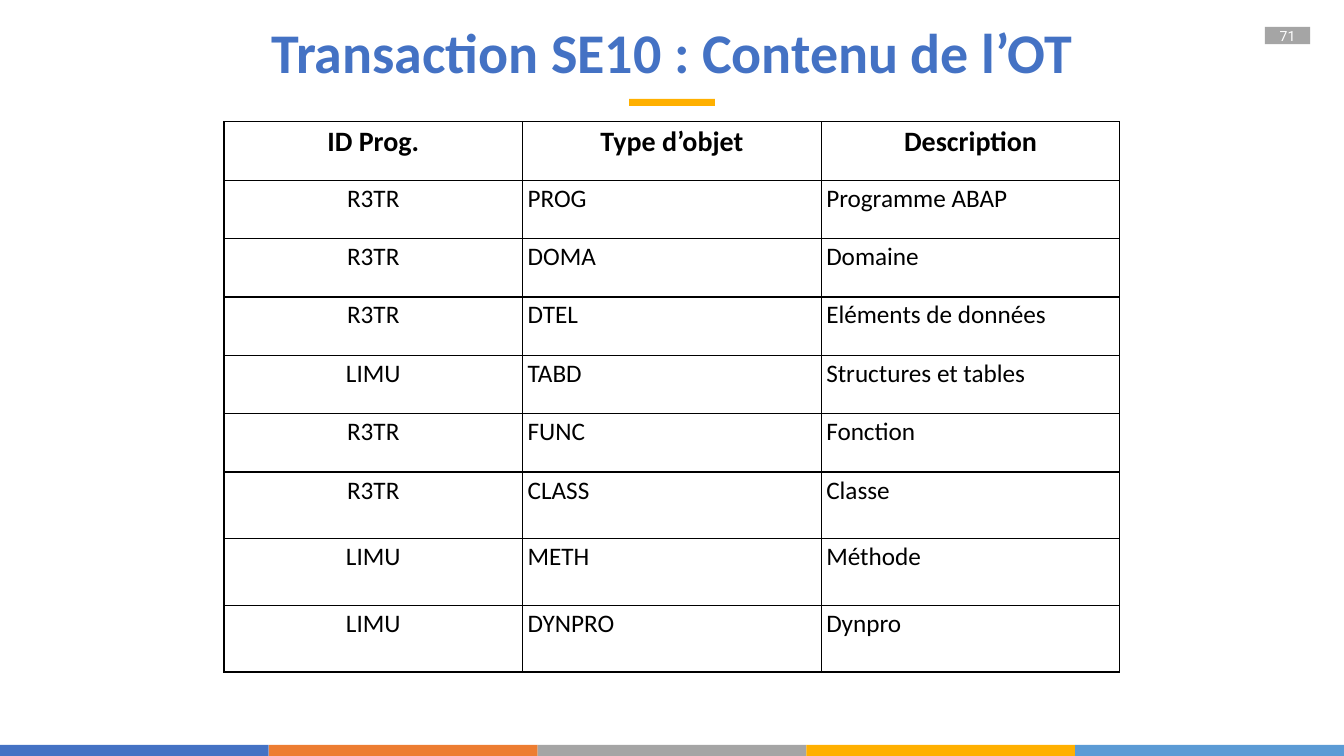
from lxml.etree import SubElement
from pptx import Presentation
from pptx.dml.color import RGBColor
from pptx.enum.shapes import MSO_SHAPE as Shape
from pptx.enum.text import MSO_ANCHOR as Anchor, PP_ALIGN as Align
from pptx.oxml.ns import qn
from pptx.util import Pt

COLORS = {
    "blue": "4472C4",
    "orange": "ED7D31",
    "gray": "A5A5A5",
    "gold": "FFB000",
    "sky": "5B9BD5",
    "white": "FFFFFF",
    "black": "000000",
}
SLIDE_WIDTH, SLIDE_HEIGHT = 960, 540
STRIPE_COLORS = ["blue", "orange", "gray", "gold", "sky"]
STRIPE_HEIGHT = 7.9
TABLE_LEFT, TABLE_TOP, TABLE_WIDTH = 160, 87, 640
ROW_HEIGHTS = [41.7] * 6 + [47.6] * 3
HEADERS = ["ID Prog.", "Type d’objet", "Description"]
OBJECT_TYPES = [
    ("R3TR", "PROG", "Programme ABAP"),
    ("R3TR", "DOMA", "Domaine"),
    ("R3TR", "DTEL", "Eléments de données"),
    ("LIMU", "TABD", "Structures et tables"),
    ("R3TR", "FUNC", "Fonction"),
    ("R3TR", "CLASS", "Classe"),
    ("LIMU", "METH", "Méthode"),
    ("LIMU", "DYNPRO", "Dynpro"),
]


def rgb(color):
    return RGBColor.from_string(COLORS[color])


def write(frame, text, size=18, font="Calibri", color="black", bold=False,
          align=Align.LEFT):
    """Fill the first paragraph of a text frame with one formatted run."""
    paragraph = frame.paragraphs[0]
    paragraph.alignment = align
    run = paragraph.add_run()
    run.text = text
    run.font.size = Pt(size)
    run.font.name = font
    run.font.bold = bold
    run.font.color.rgb = rgb(color)


def set_margins(target, horizontal, vertical):
    target.margin_left = target.margin_right = Pt(horizontal)
    target.margin_top = target.margin_bottom = Pt(vertical)


def add_bar(shapes, left, top, width, height, color):
    bar = shapes.add_shape(Shape.RECTANGLE, Pt(left), Pt(top), Pt(width), Pt(height))
    bar.shadow.inherit = False
    bar.fill.solid()
    bar.fill.fore_color.rgb = rgb(color)
    bar.line.fill.background()
    return bar


def add_footer_stripes(slide):
    stripes = slide.shapes.add_group_shape().shapes
    width = SLIDE_WIDTH / len(STRIPE_COLORS)
    for index, color in enumerate(STRIPE_COLORS):
        add_bar(stripes, index * width, SLIDE_HEIGHT - STRIPE_HEIGHT,
                width, STRIPE_HEIGHT, color)


def add_page_number(slide, number):
    badge = add_bar(slide.shapes, 903.5, 19.3, 32.4, 12.2, "gray")
    set_margins(badge.text_frame, 0, 0)
    badge.text_frame.vertical_anchor = Anchor.MIDDLE
    write(badge.text_frame, number, size=10, font="Roboto", color="white",
          align=Align.CENTER)


def add_title(slide, text):
    title = slide.shapes.add_textbox(Pt(0), Pt(0), Pt(SLIDE_WIDTH), Pt(73.5))
    frame = title.text_frame
    frame.word_wrap = True
    frame.vertical_anchor = Anchor.MIDDLE
    write(frame, text, size=40, color="blue", bold=True, align=Align.CENTER)


def set_borders(cell, color="black", width=1):
    properties = cell._tc.get_or_add_tcPr()
    for index, side in enumerate(("a:lnL", "a:lnR", "a:lnT", "a:lnB")):
        line = properties.makeelement(qn(side), {"w": str(Pt(width))})
        fill = SubElement(line, qn("a:solidFill"))
        SubElement(fill, qn("a:srgbClr"), val=COLORS[color])
        properties.insert(index, line)


def add_object_table(slide):
    rows = [HEADERS, *OBJECT_TYPES]
    table = slide.shapes.add_table(
        len(rows), len(HEADERS), Pt(TABLE_LEFT), Pt(TABLE_TOP),
        Pt(TABLE_WIDTH), Pt(sum(ROW_HEIGHTS))).table
    table.first_row = table.horz_banding = False
    for column in table.columns:
        column.width = Pt(TABLE_WIDTH / len(HEADERS))
    for row_index, (values, height) in enumerate(zip(rows, ROW_HEIGHTS)):
        table.rows[row_index].height = Pt(height)
        is_header = row_index == 0
        for column_index, value in enumerate(values):
            cell = table.cell(row_index, column_index)
            cell.fill.background()
            set_margins(cell, 3.6, 2.2)
            set_borders(cell)
            centered = is_header or column_index == 0
            write(cell.text_frame, value, size=20 if is_header else 18,
                  bold=is_header, align=Align.CENTER if centered else Align.LEFT)


def main():
    presentation = Presentation()
    presentation.slide_width = Pt(SLIDE_WIDTH)
    presentation.slide_height = Pt(SLIDE_HEIGHT)
    slide = presentation.slides.add_slide(presentation.slide_layouts[6])
    add_footer_stripes(slide)
    add_bar(slide.shapes, 449.4, 70.6, 61.2, 5, "gold")
    add_page_number(slide, "71")
    add_title(slide, "Transaction SE10 : Contenu de l’OT")
    add_object_table(slide)
    presentation.save("out.pptx")


if __name__ == "__main__":
    main()
